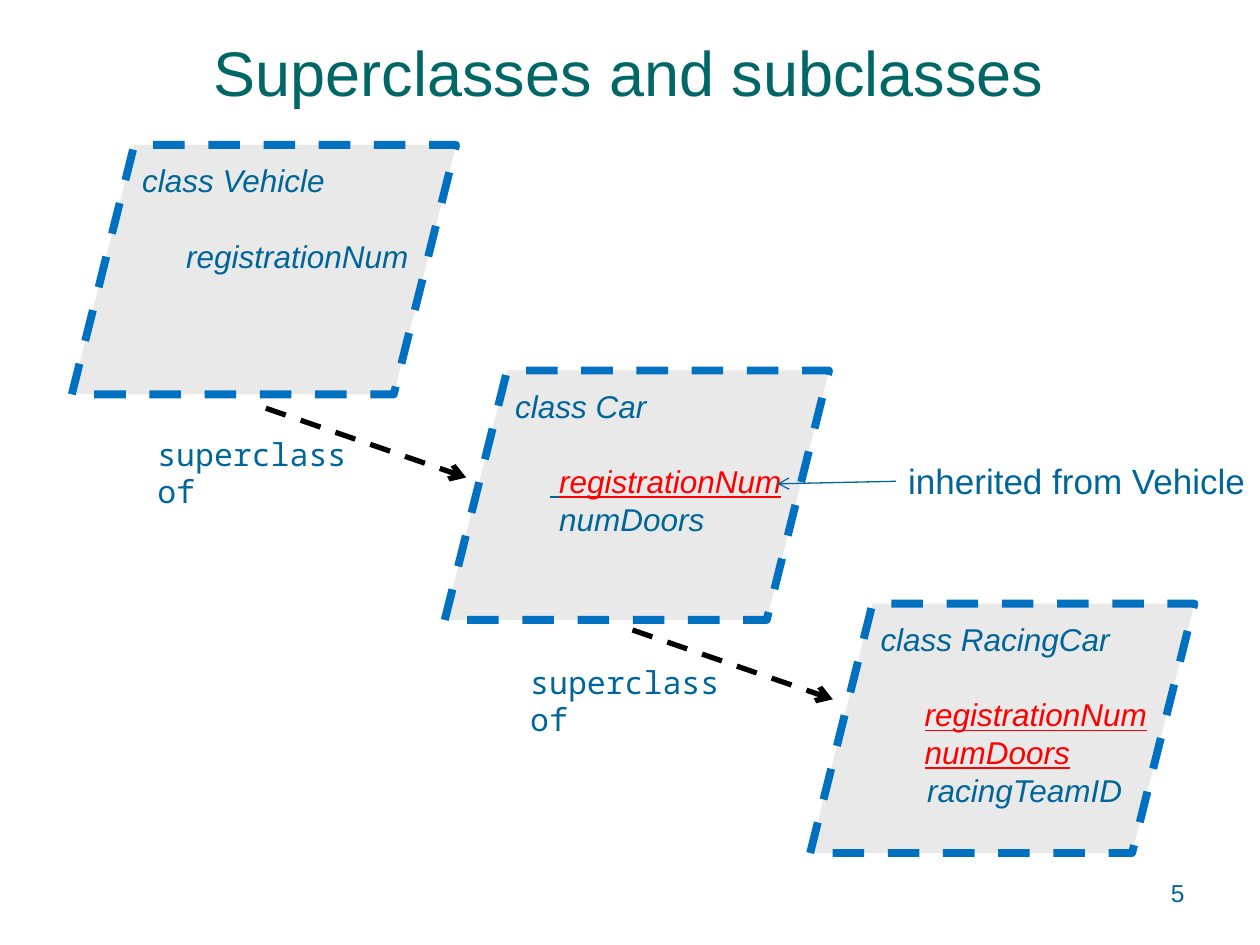
from lxml import etree
from pptx import Presentation
from pptx import util as u
from pptx.dml.color import RGBColor
from pptx.enum import dml, shapes, text
from pptx.oxml import ns

TEAL = RGBColor(0x00, 0x66, 0x66)
BLUE = RGBColor(0x00, 0x66, 0x99)
BORDER = RGBColor(0x00, 0x70, 0xC0)
GREY = RGBColor(0xE9, 0xE9, 0xE9)
RED = RGBColor(0xFF, 0x00, 0x00)
BLACK = RGBColor(0x00, 0x00, 0x00)

LINE_PITCH = u.Pt(21.6)
MEMBER_INDENT = 0.35
BODY = {"name": "Arial", "size": u.Pt(18), "italic": True}
INHERITED = {"color": RED, "underline": True}
OWN = {"color": BLUE}

# Class name, card position, members as (indent, [(text, format), ...])
CLASSES = [
    ("class Vehicle", (0.57, 1.15), [
        (MEMBER_INDENT, [("registrationNum", OWN)])]),
    ("class Car", (3.53, 2.94), [
        (0.28, [(" ", {"color": BLUE, "underline": True}),
                ("registrationNum", INHERITED)]),
        (MEMBER_INDENT, [("numDoors", OWN)])]),
    ("class RacingCar", (6.43, 4.79), [
        (MEMBER_INDENT, [("registrationNum", INHERITED)]),
        (MEMBER_INDENT, [("numDoors", INHERITED)]),
        (0.37, [("racingTeamID", OWN)])]),
]
CARD_SIZE = (3.05, 1.98)

# Arrow start and label position for each superclass link
LINKS = [((2.11, 3.24), (1.15, 3.4)), ((5.02, 5), (4.11, 5.21))]
LINK_RUN = (1.59, 0.55)


def inches(values):
    return [u.Inches(value) for value in values]


def add_run(paragraph, words, formats):
    run = paragraph.add_run()
    run.text = words
    for name, value in formats.items():
        if name == "color":
            run.font.color.rgb = value
        else:
            setattr(run.font, name, value)


def add_text(slide, box, words, formats, wrap=True, **paragraph_format):
    shape = slide.shapes.add_textbox(*inches(box))
    shape.text_frame.word_wrap = wrap
    paragraph = shape.text_frame.paragraphs[0]
    for name, value in paragraph_format.items():
        setattr(paragraph, name, value)
    add_run(paragraph, words, formats)
    return shape


def add_arrow(slide, start, end, color, width):
    arrow = slide.shapes.add_connector(
        shapes.MSO_CONNECTOR.STRAIGHT, *inches(start + end))
    arrow.line.color.rgb = color
    arrow.line.width = u.Pt(width)
    line = arrow.line._get_or_add_ln()
    etree.SubElement(line, ns.qn("a:tailEnd"), type="arrow")
    etree.SubElement(arrow._element.spPr, ns.qn("a:effectLst"))
    return arrow


def add_class_card(slide, box, name, members):
    left, top, width, height = box
    card = slide.shapes.add_shape(
        shapes.MSO_SHAPE.PARALLELOGRAM, *inches(box))
    card.adjustments[0] = 0.25
    card.shadow.inherit = False
    card.fill.solid()
    card.fill.fore_color.rgb = GREY
    card.line.color.rgb = BORDER
    card.line.width = u.Pt(4.5)
    card.line.dash_style = dml.MSO_LINE.DASH

    # Class name, then its members one line below
    content = add_text(slide, (left + 0.46, top + 0.08, 2.67, height - 0.13),
                       name, {**BODY, **OWN}, line_spacing=LINE_PITCH)
    for index, (indent, runs) in enumerate(members):
        paragraph = content.text_frame.add_paragraph()
        paragraph.line_spacing = LINE_PITCH
        if index == 0:
            paragraph.space_before = LINE_PITCH
        paragraph._p.get_or_add_pPr().set("marL", str(u.Inches(indent)))
        for words, formats in runs:
            add_run(paragraph, words, {**BODY, **formats})


def add_superclass_link(slide, start, label_at):
    end = (start[0] + LINK_RUN[0], start[1] + LINK_RUN[1])
    arrow = add_arrow(slide, start, end, BLACK, 3)
    arrow.line.dash_style = dml.MSO_LINE.DASH
    add_text(slide, label_at + (1.79, 0.4), "superclass of",
             {"name": "Noto Sans Mono", "size": u.Pt(18), "color": BLUE},
             line_spacing=LINE_PITCH)


def add_inherited_note(slide, box, target):
    left, top, width, height = box
    note = add_text(slide, box, "inherited from Vehicle",
                    {"name": "Arial", "size": u.Pt(20), "color": BLUE},
                    wrap=False)
    arrow = add_arrow(slide, (left, top + height / 2), target, BLUE, 0.75)
    arrow.begin_connect(note, 1)


def add_title(slide, box):
    title = add_text(slide, box, "Superclasses and subclasses",
                     {"name": "Arial", "size": u.Pt(36), "color": TEAL},
                     alignment=text.PP_ALIGN.CENTER, line_spacing=0.9)
    title.text_frame.vertical_anchor = text.MSO_ANCHOR.BOTTOM


def main():
    presentation = Presentation()
    presentation.slide_width = u.Inches(10)
    presentation.slide_height = u.Inches(7.5)
    slide = presentation.slides.add_slide(presentation.slide_layouts[6])

    add_title(slide, (0.48, 0.25, 9.02, 0.67))
    # Page number
    add_text(slide, (7.83, 6.92, 1.67, 0.34), "5",
             {"name": "Arial", "size": u.Pt(14), "color": BLUE},
             alignment=text.PP_ALIGN.RIGHT)
    # Class hierarchy
    for name, position, members in CLASSES:
        add_class_card(slide, position + CARD_SIZE, name, members)
    for start, label_at in LINKS:
        add_superclass_link(slide, start, label_at)
    add_inherited_note(slide, (7.11, 3.6, 2.9, 0.44), (6.17, 3.84))

    presentation.save("out.pptx")


if __name__ == "__main__":
    main()
